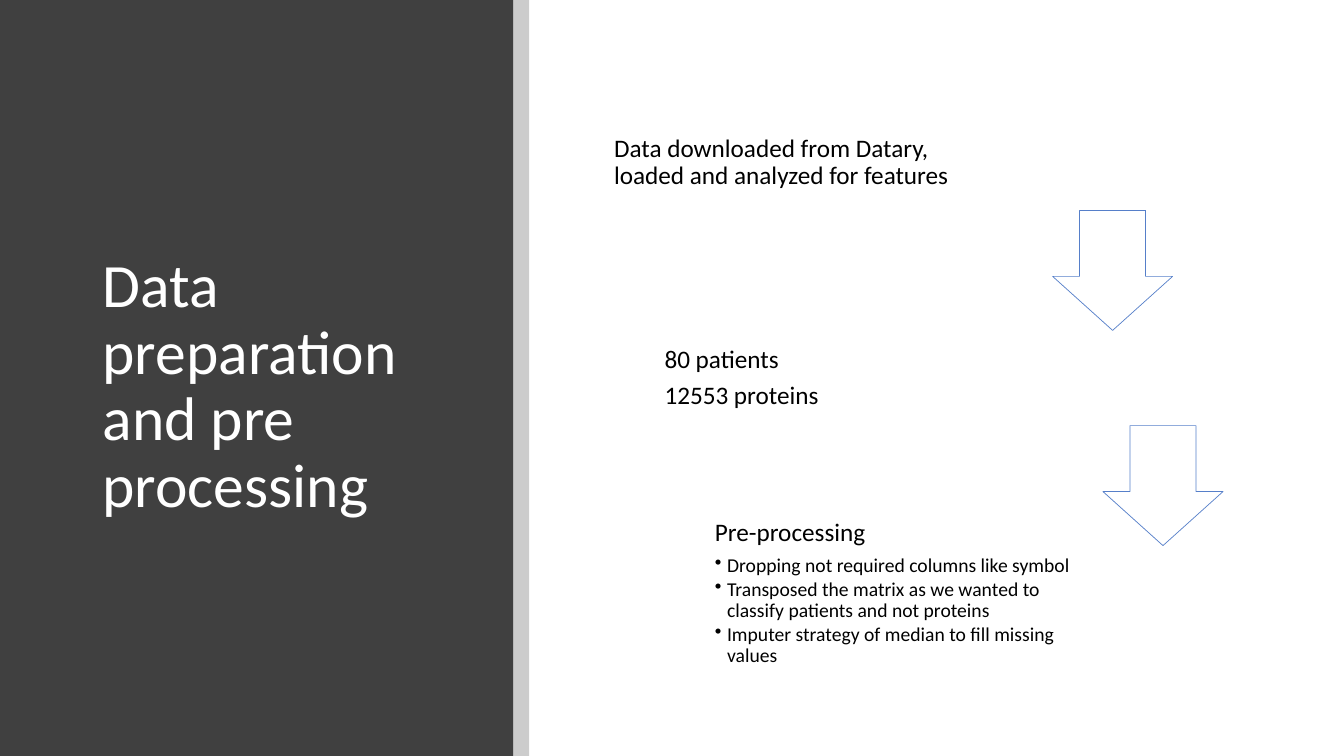
from dataclasses import dataclass

from lxml import etree
from pptx import Presentation, util as u
from pptx.dml.color import RGBColor
from pptx.enum import shapes, text
from pptx.oxml import ns


@dataclass(frozen=True)
class Theme:
    font: str = "Calibri"
    panel: str = "404040"
    ink: str = "000000"
    paper: str = "FFFFFF"
    accent: str = "4472C4"
    title: int = 44
    body: int = 18
    bullet: int = 14


theme = Theme()
prs = Presentation()
prs.slide_width, prs.slide_height = u.Inches(13.33), u.Inches(7.5)
s = prs.slides.add_slide(prs.slide_layouts[6])


def add_box(x, y, w, h, kind=None, fill=None, alpha=100):
    """Add a shape, or a text box without a kind; lengths in % of the slide."""
    at = [int(size * share / 100) for size, share in
          zip((prs.slide_width, prs.slide_height) * 2, (x, y, w, h))]
    if kind is None:
        sp = s.shapes.add_textbox(*at)
        sp.text_frame.word_wrap = True
        sp.text_frame.vertical_anchor = text.MSO_ANCHOR.MIDDLE
        return sp
    sp = s.shapes.add_shape(kind, *at)
    sp.shadow.inherit = False
    sp.line.fill.background()
    sp.fill.solid()
    sp.fill.fore_color.rgb = RGBColor.from_string(fill)
    if alpha < 100:
        set_alpha(sp.fill.fore_color, sp, alpha)
    return sp


def set_alpha(color, sp, alpha):
    """Make the shape's most recently set colour partly transparent."""
    clr = list(sp._element.spPr.iter(ns.qn("a:srgbClr")))[-1]
    etree.SubElement(clr, ns.qn("a:alpha"), val=str(alpha * 1000))


# Left panel with its edge strip
KIND = shapes.MSO_SHAPE
PANEL_W, STRIP_W = 38.18, 1.2
add_box(0, 0, PANEL_W, 100, KIND.RECTANGLE, theme.panel)
add_box(PANEL_W, 0, STRIP_W, 100, KIND.RECTANGLE, theme.ink, 20)

# Title
p = add_box(6.9, 11.87, 27.38, 78.8).text_frame.paragraphs[0]
p.text = "Data preparation and pre processing"
p.line_spacing = 0.9
p.font.name, p.font.size = theme.font, u.Pt(theme.title)
p.font.color.rgb = RGBColor.from_string(theme.paper)

# Steps: text width, lines, bullets
steps = [
    (27.68, ["Data downloaded from Datary, loaded and analyzed for features"], []),
    (29.03, ["80 patients", "12553 proteins"], []),
    (29.03, ["Pre-processing"],
     ["Dropping not required columns like symbol",
      "Transposed the matrix as we wanted to classify patients and not proteins",
      "Imputer strategy of median to fill missing values"]),
]
LEFT, TOP, STEP_X, STEP_Y = 44.79, 9.33, 3.75, 28.47
CARD_W, CARD_H = 42.46, 24.4
PAD_X, PAD_Y = 0.38, 0.73
corners = [(LEFT + i * STEP_X, TOP + i * STEP_Y) for i in range(len(steps))]

for (x, y), (width, lines, bullets) in zip(corners, steps):
    card = add_box(x, y, CARD_W, CARD_H, KIND.ROUNDED_RECTANGLE, theme.paper)
    card.adjustments[0] = 0.1
    tf = add_box(x + PAD_X, y + PAD_Y, width, CARD_H - 2 * PAD_Y).text_frame
    tf.margin_left = tf.margin_right = u.Inches(0.07)
    tf.margin_top = tf.margin_bottom = u.Inches(0.07)
    for i, line in enumerate(lines + bullets):
        is_bullet = i >= len(lines)
        size = theme.bullet if is_bullet else theme.body
        p = tf.add_paragraph() if i else tf.paragraphs[0]
        p.text = line
        p.line_spacing = 0.9
        p.space_after = u.Pt(size * (0.15 if is_bullet else 0.35))
        p.font.name, p.font.size = theme.font, u.Pt(size)
        p.font.color.rgb = RGBColor.from_string(theme.ink)
        if is_bullet:
            p.level = 1
            pPr = p._p.get_or_add_pPr()
            indent = u.Inches(0.12)
            pPr.set("marL", str(indent))
            pPr.set("indent", str(-indent))
            bullet = etree.Element(ns.qn("a:buChar"), char="•")
            pPr.insert_element_before(bullet, "a:tabLst", "a:defRPr", "a:extLst")

# Arrows between the steps, flush with the right edge of the cards
ARROW_W, ARROW_H, DROP = 8.93, 15.87, 18.5
for x, y in corners[:-1]:
    arrow = add_box(x + CARD_W - ARROW_W, y + DROP, ARROW_W, ARROW_H,
                    KIND.DOWN_ARROW, theme.paper, 90)
    arrow.adjustments[0], arrow.adjustments[1] = 0.55, 0.45
    arrow.line.width = u.Pt(0.5)
    arrow.line.color.rgb = RGBColor.from_string(theme.accent)
    set_alpha(arrow.line.color, arrow, 90)

prs.save("out.pptx")
